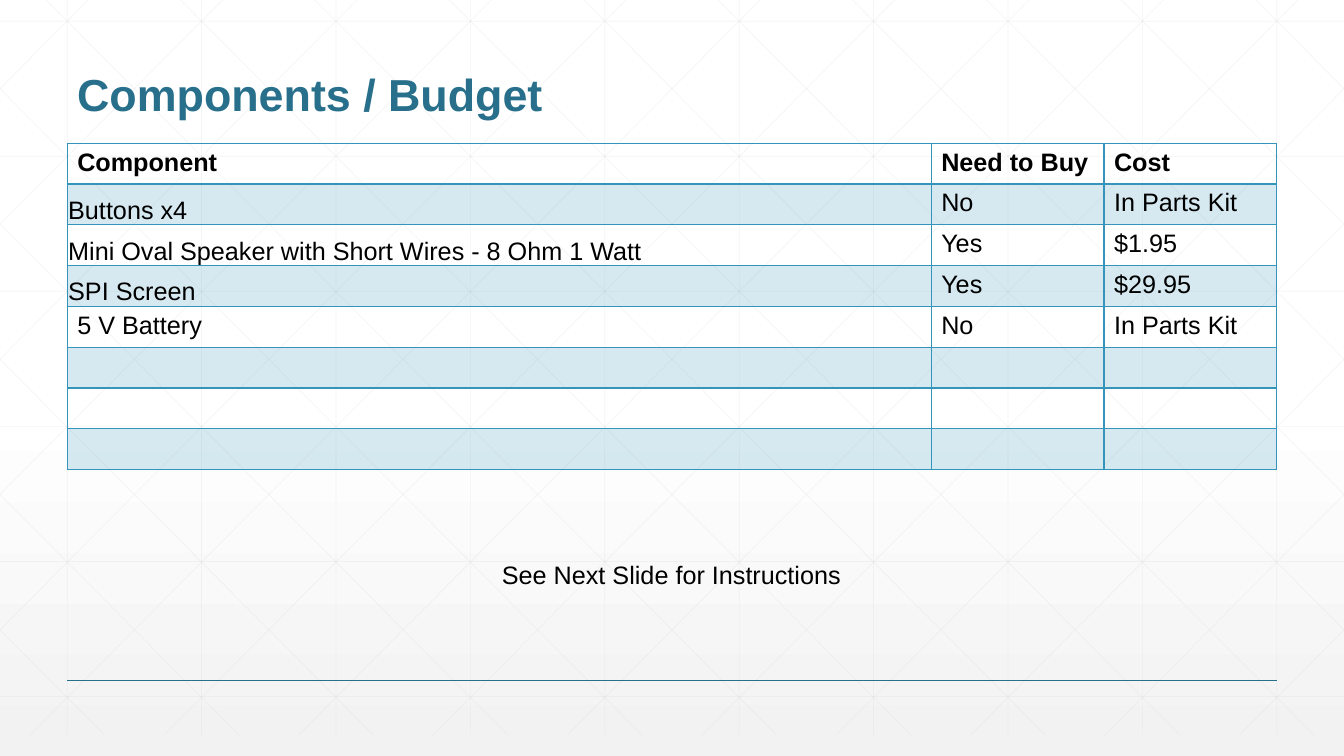
from lxml import etree
from pptx import Presentation
from pptx.dml.color import RGBColor
from pptx.enum.shapes import MSO_CONNECTOR
from pptx.enum.text import MSO_ANCHOR, MSO_AUTO_SIZE
from pptx.oxml.ns import qn
from pptx.util import Inches, Pt

STRAIGHT = MSO_CONNECTOR.STRAIGHT
BOTTOM, TOP = MSO_ANCHOR.BOTTOM, MSO_ANCHOR.TOP
FIT_SHAPE = MSO_AUTO_SIZE.SHAPE_TO_FIT_TEXT

WIDTH, HEIGHT = 13.33, 7.5
MARGIN = WIDTH / 20
CONTENT_WIDTH = WIDTH - 2 * MARGIN
FONT = "Arial"
BLACK, WHITE, TEAL, BLUE = "000000", "FFFFFF", "276F8B", "3494BA"
PALE_GRAY, LATTICE_GRAY = "F2F2F2", "D9D9D9"

HEADER = ["Component", "Need to Buy", "Cost"]
COMPONENTS = [
    ["Buttons x4", "No", "In Parts Kit"],
    ["Mini Oval Speaker with Short Wires - 8 Ohm 1 Watt", "Yes", "$1.95"],
    ["SPI Screen", "Yes", "$29.95"],
    ["5 V Battery", "No", "In Parts Kit"],
]
EMPTY_ROWS = 3
TIGHT_ROWS = (1, 2, 3)
COLUMN_SHARES = (5 / 7, 1 / 7, 1 / 7)


def color(value):
    return RGBColor.from_string(value)


def set_alpha(element, percent):
    for rgb in element.iter(qn("a:srgbClr")):
        etree.SubElement(rgb, qn("a:alpha"), val=str(percent * 1000))


def format_text(text_frame, size, value, bold=False):
    for paragraph in text_frame.paragraphs:
        for run in paragraph.runs:
            run.font.name = FONT
            run.font.size = Pt(size)
            run.font.bold = bold
            run.font.color.rgb = color(value)


def add_line(slide, start, end, value, width, alpha=100):
    line = slide.shapes.add_connector(
        STRAIGHT, *(Inches(length) for length in (*start, *end)))
    line.line.color.rgb = color(value)
    line.line.width = Pt(width)
    properties = line._element.spPr
    if alpha < 100:
        set_alpha(properties, alpha)
    etree.SubElement(properties, qn("a:effectLst"))


def add_background(slide):
    fill = slide.background.fill
    fill.gradient()
    fill.gradient_angle = 270
    for stop, position, value in zip(fill.gradient_stops, (0.53, 1), (WHITE, PALE_GRAY)):
        stop.position = position
        stop.color.rgb = color(value)


def add_lattice(slide, top, height):
    step = WIDTH / 10
    bottom = top + height
    run = 7.45
    slope = height / run
    segments = []
    for column in range(10):
        x = MARGIN + column * step
        segments.append(((x, top), (x, bottom)))
    for row in range(6):
        y = 0.21 + row * 1.34
        segments.append(((0, y), (WIDTH, y)))
    for index in range(-5, 10):
        origin = 0.25 + index * step
        left, right = max(origin, 0), min(origin + run, WIDTH)
        upper, lower = (top + (x - origin) * slope for x in (left, right))
        segments.append(((left, upper), (right, lower)))
        segments.append(((WIDTH - left, upper), (WIDTH - right, lower)))
    for start, end in segments:
        add_line(slide, start, end, LATTICE_GRAY, 0.5, 25)


def add_text(slide, box, text, size, value, bold=False, anchor=TOP, wrap=True):
    shape = slide.shapes.add_textbox(*(Inches(length) for length in box))
    text_frame = shape.text_frame
    text_frame.word_wrap = wrap
    text_frame.vertical_anchor = anchor
    text_frame.text = text
    format_text(text_frame, size, value, bold)
    return text_frame


def set_borders(cell, widths):
    properties = cell._tc.get_or_add_tcPr()
    for index, (side, width) in enumerate(widths.items()):
        border = etree.Element(qn(f"a:ln{side}"), w=str(Pt(width)))
        fill = etree.SubElement(border, qn("a:solidFill"))
        etree.SubElement(fill, qn("a:srgbClr"), val=BLUE)
        properties.insert(index, border)


def fill_cell(cell, banded):
    if banded:
        cell.fill.solid()
        cell.fill.fore_color.rgb = color(BLUE)
        set_alpha(cell._tc.tcPr.find(qn("a:solidFill")), 20)
    else:
        cell.fill.background()


def add_budget_table(slide, box):
    rows = [HEADER, *COMPONENTS] + [[""] * len(HEADER)] * EMPTY_ROWS
    left, top, width, height = box
    table = slide.shapes.add_table(
        len(rows), len(HEADER), *(Inches(length) for length in box)).table
    table.first_row = table.horz_banding = False
    for column, share in zip(table.columns, COLUMN_SHARES):
        column.width = Inches(width * share)
    for row_index, row in enumerate(rows):
        table.rows[row_index].height = Inches(height / len(rows))
        for column_index, text in enumerate(row):
            cell = table.cell(row_index, column_index)
            cell.text = text
            format_text(cell.text_frame, 18, BLACK, row_index == 0)
            if column_index == 0 and row_index in TIGHT_ROWS:
                cell.vertical_anchor = BOTTOM
                cell.margin_left = cell.margin_right = cell.margin_top = Inches(0.01)
                cell.margin_bottom = 0
            fill_cell(cell, row_index % 2 == 1)
            set_borders(cell, {"L": 1, "R": 1,
                               "T": 2 if row_index == 1 else 1,
                               "B": 2 if row_index == 0 else 1})


def add_budget_slide(presentation):
    slide = presentation.slides.add_slide(presentation.slide_layouts[6])
    add_background(slide)
    add_lattice(slide, -0.21, HEIGHT)
    rule = HEIGHT * 0.9
    add_line(slide, (MARGIN, rule), (WIDTH - MARGIN, rule), TEAL, 1)
    title = add_text(slide, (MARGIN, 0.25, CONTENT_WIDTH, 1),
                     "Components / Budget", 32, TEAL, True, BOTTOM)
    title.paragraphs[0].line_spacing = 0.9
    add_budget_table(slide, (MARGIN, 1.42, CONTENT_WIDTH, 3.24))
    note = add_text(slide, (4.88, 5.5, 3.6, 0.4),
                    "See Next Slide for Instructions", 18, BLACK, wrap=False)
    note.auto_size = FIT_SHAPE


def main():
    presentation = Presentation()
    presentation.slide_width = Inches(WIDTH)
    presentation.slide_height = Inches(HEIGHT)
    add_budget_slide(presentation)
    presentation.save("out.pptx")


if __name__ == "__main__":
    main()
